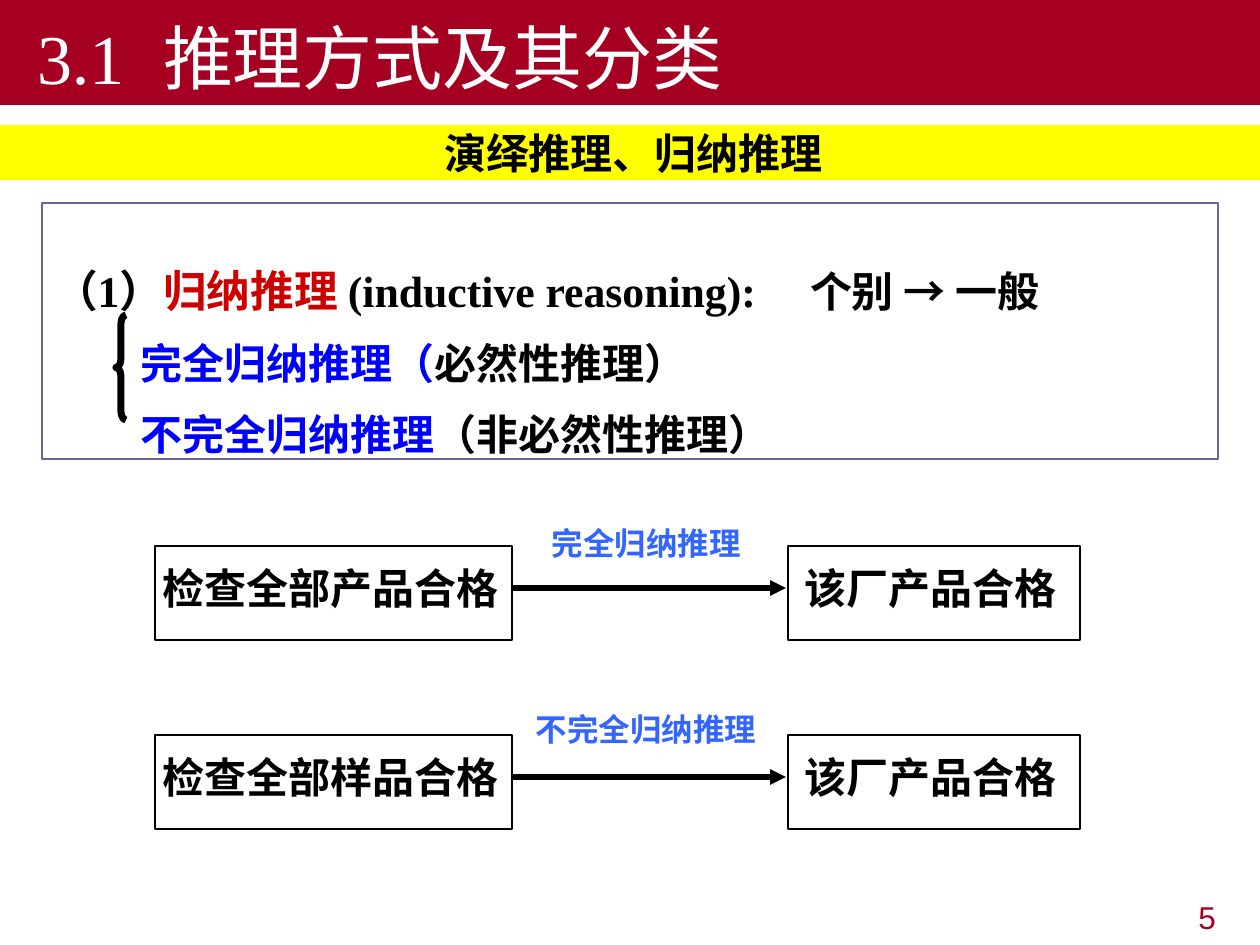
from lxml import etree
from pptx import Presentation
from pptx.dml.color import RGBColor
from pptx.enum.shapes import MSO_CONNECTOR, MSO_SHAPE
from pptx.enum.text import MSO_ANCHOR, MSO_AUTO_SIZE, PP_ALIGN
from pptx.oxml.ns import qn
from pptx.util import Emu, Pt

RECTANGLE, BRACE = MSO_SHAPE.RECTANGLE, MSO_SHAPE.LEFT_BRACE
STRAIGHT = MSO_CONNECTOR.STRAIGHT
TOP, MIDDLE, BOTTOM = MSO_ANCHOR.TOP, MSO_ANCHOR.MIDDLE, MSO_ANCHOR.BOTTOM
LEFT, CENTER, RIGHT = PP_ALIGN.LEFT, PP_ALIGN.CENTER, PP_ALIGN.RIGHT
NO_AUTOFIT = MSO_AUTO_SIZE.NONE

PX_PER_INCH = 126
SERIF, SANS = "Times New Roman", "Arial"
RED, YELLOW, BLACK, WHITE = "A50021", "FFFF00", "000000", "FFFFFF"
CRIMSON, BLUE, LABEL_BLUE, FRAME = "CC0000", "0000FF", "3366FF", "666699"


def px(length):
    return Emu(round(length * 914400 / PX_PER_INCH))


def color(value):
    return RGBColor.from_string(value)


def place(shape, box):
    shape.left, shape.top, shape.width, shape.height = map(px, box)


def set_frame(shape, anchor, insets=(0, 0, 0, 0), wrap=True):
    frame = shape.text_frame
    frame.word_wrap = wrap
    frame.auto_size = NO_AUTOFIT
    frame.vertical_anchor = anchor
    (frame.margin_left, frame.margin_top,
     frame.margin_right, frame.margin_bottom) = map(px, insets)
    return frame


def write(para, spans, font, align=LEFT, bold=False, before=0):
    """Fill a paragraph with (text, size, colour) spans."""
    para.alignment = align
    para.space_before = Pt(before)
    for text, size, shade in spans:
        span = para.add_run()
        span.text = text
        span.font.name = font
        span.font.size = Pt(size)
        span.font.bold = bold
        span.font.color.rgb = color(shade)


def indent(para, left=0, tab=None):
    """Remove the bullet, set the left indent and one optional tab stop."""
    properties = para._p.get_or_add_pPr()
    properties.set("marL", str(px(left)))
    properties.set("indent", "0")
    etree.SubElement(properties, qn("a:buNone"))
    if tab:
        tabs = etree.SubElement(properties, qn("a:tabLst"))
        etree.SubElement(tabs, qn("a:tab"), pos=str(px(tab)), algn="l")


def add_outline(page, kind, box, shade, weight):
    shape = page.shapes.add_shape(kind, *map(px, box))
    shape.shadow.inherit = False
    shape.fill.background()
    shape.line.color.rgb = color(shade)
    shape.line.width = Pt(weight)
    return shape


def add_label(page, box, text, size, shade, align, bold):
    label = page.shapes.add_textbox(*map(px, box))
    frame = set_frame(label, MIDDLE, (12, 0, 12, 0))
    write(frame.paragraphs[0], [(text, size, shade)], SANS, align, bold)


def add_arrow(page, left, right, y):
    arrow = page.shapes.add_connector(STRAIGHT, px(left), px(y), px(right), px(y))
    arrow.line.color.rgb = color(BLACK)
    arrow.line.width = Pt(3)
    etree.SubElement(arrow.line._get_or_add_ln(), qn("a:tailEnd"), type="triangle")
    etree.SubElement(arrow._element.spPr, qn("a:effectLst"))


def fill_band(shape, box, fill):
    place(shape, box)
    shape.fill.solid()
    shape.fill.fore_color.rgb = color(fill)


def fill_title(page, box):
    title = page.shapes.title
    fill_band(title, box, RED)
    para = set_frame(title, BOTTOM, (37, 6, 12, 6)).paragraphs[0]
    indent(para, tab=139)
    write(para, [("3.1\t推理方式及其分类", 40, WHITE)], SERIF)


def fill_subtitle(page, box):
    body = page.placeholders[1]
    fill_band(body, box, YELLOW)
    para = set_frame(body, MIDDLE, (8, 0, 0, 0)).paragraphs[0]
    indent(para)
    write(para, [("演绎推理、归纳推理", 24, BLACK)], SERIF, CENTER, True)


def add_definition(page, box):
    """Framed definition with its two cases joined by a brace."""
    left, top, width, height = box
    panel = add_outline(page, RECTANGLE, box, FRAME, 0.75)
    frame = set_frame(panel, TOP, (12, 61, 12, 0))
    heading = frame.paragraphs[0]
    indent(heading, tab=765)
    write(heading, [("（1）", 25, BLACK), ("归纳推理 ", 25, CRIMSON),
                    ("(inductive reasoning):\t", 25, BLACK),
                    ("个别 → 一般", 24, BLACK)], SERIF, bold=True)
    cases = [("完全归纳推理（", "必然性推理）"),
             ("不完全归纳推理", "（非必然性推理）")]
    for name, note in cases:
        para = frame.add_paragraph()
        indent(para, left=86)
        write(para, [(name, 24, BLUE), (note, 24, BLACK)], SERIF,
              bold=True, before=12)
    brace = add_outline(page, BRACE, (left + 74, top + 112, 10, 105), BLACK, 4)
    brace.adjustments[0] = 0.85


def add_inference(page, box, premise, method, conclusion, label_rise):
    """Premise box, labelled arrow and conclusion box in one row."""
    left, top, width, height = box
    premise_width, conclusion_width = 357, 292
    conclusion_left = left + width - conclusion_width
    for text, x, box_width in ((premise, left, premise_width),
                               (conclusion, conclusion_left, conclusion_width)):
        step = add_outline(page, RECTANGLE, (x, top, box_width, height), BLACK, 0.75)
        para = set_frame(step, MIDDLE, (0, 0, 6, 10)).paragraphs[0]
        write(para, [(text, 24, BLACK)], SANS, CENTER, True)
    arrow_left = left + premise_width
    add_arrow(page, arrow_left, conclusion_left - 2, top + 42)
    add_label(page, (arrow_left - 2, top - label_rise, 272, 50),
              method, 18, LABEL_BLUE, CENTER, True)


def main():
    deck = Presentation()
    deck.slide_width, deck.slide_height = px(1260), px(945)
    page = deck.slides.add_slide(deck.slide_layouts[1])

    fill_title(page, (0, 0, 1260, 105))
    fill_subtitle(page, (0, 125, 1260, 55))
    add_definition(page, (42, 203, 1176, 256))

    # Two example inferences
    rows = [("检查全部产品合格", "完全归纳推理", "该厂产品合格", 28),
            ("检查全部样品合格", "不完全归纳推理", "该厂产品合格", 31)]
    for index, row in enumerate(rows):
        add_inference(page, (155, 546 + 189 * index, 925, 94), *row)

    # Page number
    add_label(page, (955, 892, 273, 50), "5", 18, RED, RIGHT, False)
    deck.save("out.pptx")


if __name__ == "__main__":
    main()
